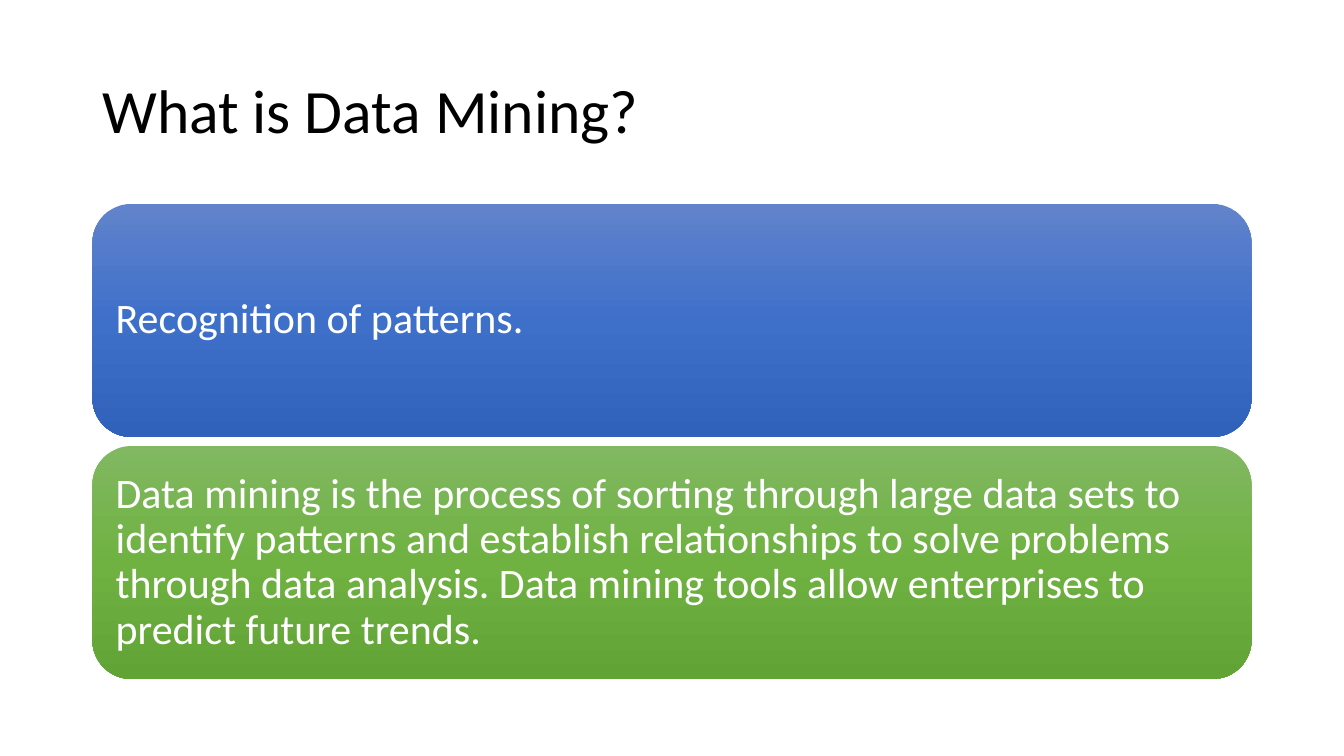
from copy import deepcopy
from dataclasses import dataclass

from pptx import Presentation
from pptx.dml.color import RGBColor
from pptx.enum.shapes import MSO_SHAPE as Shape
from pptx.enum.text import MSO_ANCHOR as Anchor, PP_ALIGN as Align
from pptx.oxml.ns import qn
from pptx.util import Cm, Pt

TITLE = "What is Data Mining?"
CARDS = [
    ("Recognition of patterns.", "blue"),
    (
        "Data mining is the process of sorting through large data sets to "
        "identify patterns and establish relationships to solve problems "
        "through data analysis. Data mining tools allow enterprises to "
        "predict future trends.",
        "green",
    ),
]


@dataclass(frozen=True)
class Theme:
    font = "Calibri"
    title_size = 44
    card_size = 30
    title_color = "000000"
    card_text = "FFFFFF"
    gradients = {
        "blue": ("6183CB", "3E70CA", "3062BB"),
        "green": ("81B861", "6FB242", "62A336"),
    }


THEME = Theme()
LEFT, WIDTH = 2.33, 29.21
TITLE_TOP, TITLE_HEIGHT = 1.01, 3.68
CARD_TOP, CARD_HEIGHT, CARD_GAP = 5.14, 5.87, 0.23
CARD_INSET = 0.3


def write_text(shape, text, size, color):
    frame = shape.text_frame
    frame.word_wrap = True
    frame.vertical_anchor = Anchor.MIDDLE
    frame.text = text
    paragraph = frame.paragraphs[0]
    paragraph.alignment = Align.LEFT
    paragraph.line_spacing = 0.9
    font = paragraph.runs[0].font
    font.name = THEME.font
    font.size = Pt(size)
    font.color.rgb = RGBColor.from_string(color)
    return frame


def fill_downwards(shape, colors):
    shape.fill.gradient()
    shape.fill.gradient_angle = 270
    stop_list = shape.fill._xPr.find(".//" + qn("a:gsLst"))
    while len(stop_list) < len(colors):
        stop_list.append(deepcopy(stop_list[0]))
    for index, (stop, color) in enumerate(zip(shape.fill.gradient_stops, colors)):
        stop.position = index / (len(colors) - 1)
        stop.color.rgb = RGBColor.from_string(color)


def add_title(slide):
    title = slide.shapes.add_textbox(
        Cm(LEFT), Cm(TITLE_TOP), Cm(WIDTH), Cm(TITLE_HEIGHT)
    )
    write_text(title, TITLE, THEME.title_size, THEME.title_color)


def add_card(slide, index, text, gradient):
    top = CARD_TOP + index * (CARD_HEIGHT + CARD_GAP)
    card = slide.shapes.add_shape(
        Shape.ROUNDED_RECTANGLE, Cm(LEFT), Cm(top), Cm(WIDTH), Cm(CARD_HEIGHT)
    )
    card.shadow.inherit = False
    card.line.fill.background()
    fill_downwards(card, THEME.gradients[gradient])
    frame = write_text(card, text, THEME.card_size, THEME.card_text)
    frame.margin_left = frame.margin_right = Cm(CARD_INSET)
    frame.margin_top = frame.margin_bottom = Cm(CARD_INSET)


def main():
    presentation = Presentation()
    presentation.slide_width = Cm(33.87)
    presentation.slide_height = Cm(19.05)
    slide = presentation.slides.add_slide(presentation.slide_layouts[6])
    add_title(slide)
    for index, (text, gradient) in enumerate(CARDS):
        add_card(slide, index, text, gradient)
    presentation.save("out.pptx")


if __name__ == "__main__":
    main()
